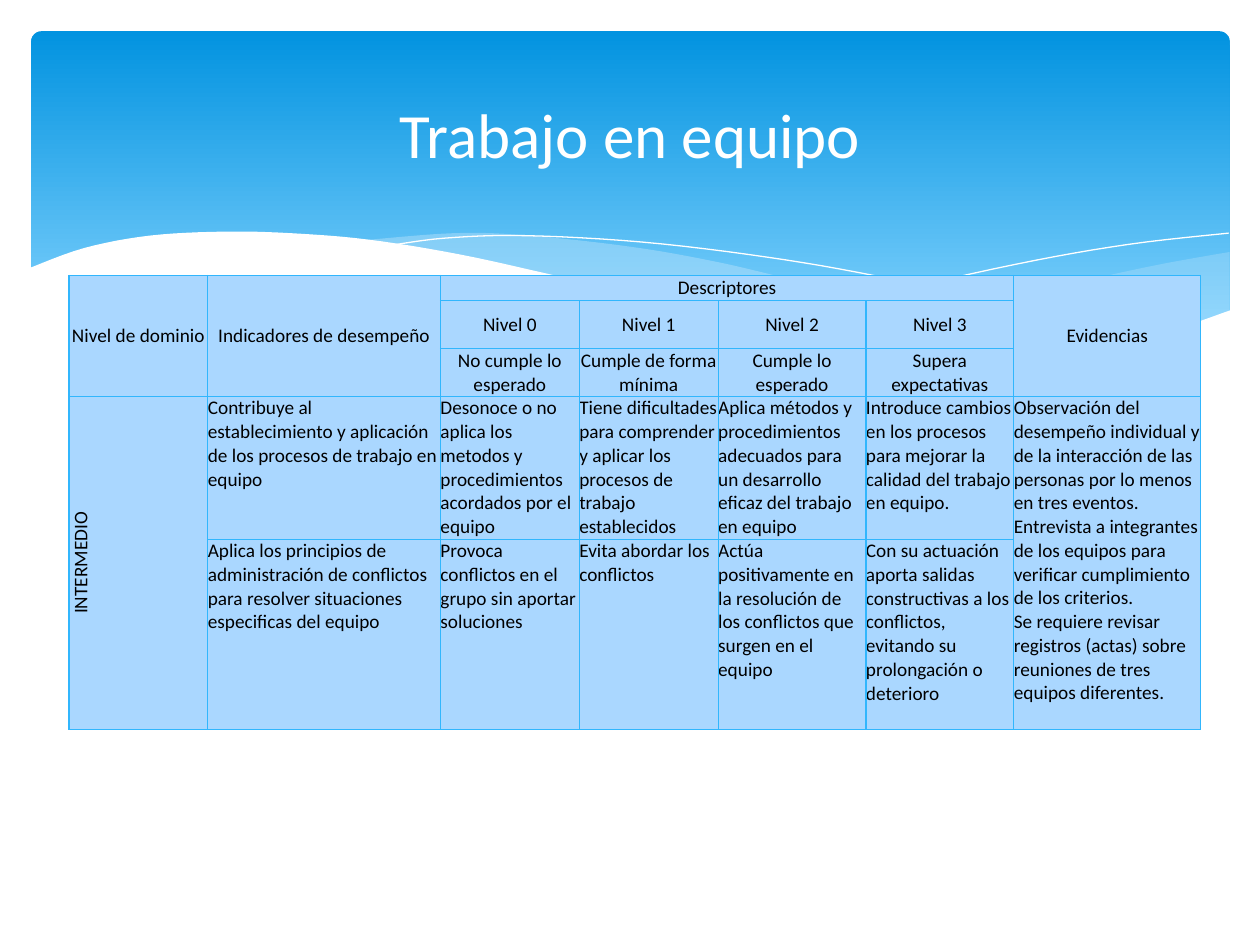
import dataclasses

import lxml.etree
import pptx
import pptx.dml.color
import pptx.enum.shapes
import pptx.enum.text
import pptx.oxml.ns
import pptx.util
from pptx.util import Cm

RGB = pptx.dml.color.RGBColor.from_string
ALIGN = pptx.enum.text.PP_ALIGN
ANCHOR = pptx.enum.text.MSO_ANCHOR
qn = pptx.oxml.ns.qn


@dataclasses.dataclass(frozen=True)
class Theme:
    font: str = "Calibri"
    title_size: int = 36
    table_size: int = 11
    white: str = "FFFFFF"
    black: str = "000000"
    sky_top: str = "0293E0"
    sky_bottom: str = "83D3FE"
    wave: str = "C6E7FC"
    cell: str = "AAD7FF"
    border: str = "31B6FD"


theme = Theme()


def smooth(points, steps=6):
    """Sample a Catmull-Rom curve that passes through every point."""
    padded = [points[0], *points, points[-1]]
    curve = []
    for a, b, c, d in zip(padded, padded[1:], padded[2:], padded[3:]):
        for step in range(steps):
            t = step / steps
            curve.append(tuple(
                b[i] + 0.5 * t * (c[i] - a[i]
                + t * (2 * a[i] - 5 * b[i] + 4 * c[i] - d[i]
                + t * (3 * (b[i] - c[i]) + d[i] - a[i])))
                for i in (0, 1)))
    return curve + [points[-1]]


def add_outline(shapes, points, closed):
    points = [(Cm(x), Cm(y)) for x, y in points]
    builder = shapes.build_freeform(*points[0])
    builder.add_line_segments(points[1:], close=closed)
    shape = builder.convert_to_shape()
    shape.shadow.inherit = False
    return shape


presentation = pptx.Presentation()
presentation.slide_width = Cm(25.4)
presentation.slide_height = Cm(19.05)
slide = presentation.slides.add_slide(presentation.slide_layouts[6])
shapes = slide.shapes

# Header panel
header = shapes.add_shape(pptx.enum.shapes.MSO_SHAPE.ROUNDED_RECTANGLE,
                          Cm(0.63), Cm(0.63), Cm(24.16), Cm(6.86))
header.adjustments[0] = 0.03
header.shadow.inherit = False
header.line.fill.background()
header.fill.gradient()
header.fill.gradient_angle = 270
for stop, position, color in zip(header.fill.gradient_stops, (0, 0.9),
                                 (theme.sky_top, theme.sky_bottom)):
    stop.position = position
    stop.color.rgb = RGB(color)

# Waves, with points in centimetres
right_wave = smooth([(24.79, 5.08), (23.39, 5.33), (21.87, 5.66), (19.13, 6.3),
                     (16.79, 6.73)])
right_wave += smooth([(16.79, 6.73), (18.92, 6.99), (20.68, 7.06), (22.15, 6.96),
                      (23.57, 6.68), (24.79, 6.27)])
middle_wave = smooth([(22.68, 6.93), (20.5, 6.6), (17.93, 6.1), (15.98, 5.64),
                      (14.45, 5.28), (12.75, 4.98), (10.67, 4.75), (9.17, 4.7),
                      (7.26, 4.85)])
middle_wave += smooth([(7.26, 4.85), (9.19, 5.16), (11.4, 5.64), (14.38, 6.3),
                       (16.51, 6.71), (18.34, 6.96), (19.94, 7.06), (21.29, 7.06),
                       (22.68, 6.93)])
long_crest = smooth([(7.85, 4.95), (8.97, 4.8), (10.57, 4.75), (12.95, 4.88),
                     (15.44, 5.18), (17.65, 5.56), (20.19, 6.12), (23.04, 6.91)])
right_crest = smooth([(15.57, 6.53), (17.65, 5.97), (20.47, 5.33), (22.73, 4.93),
                      (24.77, 4.7)])
front_wave = smooth([(24.82, 6.25), (23.37, 6.73), (21.92, 6.96), (20.55, 7.04),
                     (18.9, 6.96), (16.97, 6.73), (14.71, 6.35), (11.35, 5.59),
                     (9.27, 5.13), (7.42, 4.83), (5.84, 4.7), (4.5, 4.67),
                     (3.02, 4.75), (1.7, 5), (0.58, 5.41)])
front_wave += [(0.58, 8.36), (24.82, 8.36)]

for points, opacity in ((right_wave, 29), (middle_wave, 40)):
    wave = add_outline(shapes, points, True)
    wave.line.fill.background()
    wave.fill.solid()
    wave.fill.fore_color.rgb = RGB(theme.wave)
    color = wave.fill._xPr.find(".//" + qn("a:srgbClr"))
    lxml.etree.SubElement(color, qn("a:alpha"), val=str(opacity * 1000))

for points in (long_crest, right_crest):
    crest = add_outline(shapes, points, False)
    crest.fill.background()
    crest.line.color.rgb = RGB(theme.white)
    crest.line.width = pptx.util.Pt(0)

front = add_outline(shapes, front_wave, True)
front.line.fill.background()
front.fill.solid()
front.fill.fore_color.rgb = RGB(theme.white)

# Rubric table; None marks a cell covered by a merge
rows = [
    ["Nivel de dominio", "Indicadores de desempeño", "Descriptores",
     None, None, None, "Evidencias"],
    [None, None, "Nivel 0", "Nivel 1", "Nivel 2", "Nivel 3", None],
    [None, None, "No cumple lo esperado", "Cumple de forma mínima",
     "Cumple lo esperado", "Supera expectativas", None],
    ["INTERMEDIO",
     "Contribuye al establecimiento y aplicación de los procesos de trabajo en equipo",
     "Desonoce o no aplica los metodos y procedimientos acordados por el equipo",
     "Tiene dificultades para comprender y aplicar los procesos de trabajo establecidos",
     "Aplica métodos y procedimientos adecuados para un desarrollo eficaz del trabajo en equipo",
     "Introduce cambios en los procesos para mejorar la calidad del trabajo en equipo.",
     "Observación del desempeño individual y de la interacción de las personas "
     "por lo menos en tres eventos.\v"
     "Entrevista a integrantes de los equipos para verificar cumplimiento de los criterios.\v"
     "Se requiere revisar registros (actas) sobre reuniones de tres equipos diferentes."],
    [None,
     "Aplica los principios de administración de conflictos para resolver "
     "situaciones especificas del equipo",
     "Provoca conflictos en el grupo sin aportar soluciones",
     "Evita abordar los conflictos",
     "Actúa positivamente en la resolución de los conflictos que surgen en el equipo",
     "Con su actuación aporta salidas constructivas a los conflictos, evitando su "
     "prolongación o deterioro",
     None],
]
column_widths = [2.8, 4.69, 2.8, 2.8, 2.98, 2.98, 3.77]
row_heights = [0.51, 0.97, 0.95, 2.88, 3.83]
header_rows = 3
merges = [((0, 0), (2, 0)), ((0, 1), (2, 1)), ((0, 2), (0, 5)),
          ((0, 6), (2, 6)), ((3, 0), (4, 0)), ((3, 6), (4, 6))]

table = shapes.add_table(len(rows), len(column_widths), Cm(1.39), Cm(5.55),
                         Cm(sum(column_widths)), Cm(sum(row_heights))).table
table.first_row = False
table.horz_banding = False
for column, width in zip(table.columns, column_widths):
    column.width = Cm(width)
for row, height in zip(table.rows, row_heights):
    row.height = Cm(height)
for first, last in merges:
    table.cell(*first).merge(table.cell(*last))

for row_index, texts in enumerate(rows):
    for column_index, text in enumerate(texts):
        cell = table.cell(row_index, column_index)
        cell.margin_left = cell.margin_right = cell.margin_top = cell.margin_bottom = 0
        properties = cell._tc.get_or_add_tcPr()
        for side in ("a:lnL", "a:lnR", "a:lnT", "a:lnB"):
            line = lxml.etree.SubElement(properties, qn(side), w=str(pptx.util.Pt(0.75)))
            fill = lxml.etree.SubElement(line, qn("a:solidFill"))
            lxml.etree.SubElement(fill, qn("a:srgbClr"), val=theme.border)
        cell.fill.solid()
        cell.fill.fore_color.rgb = RGB(theme.cell)
        centered = row_index < header_rows
        paragraph = cell.text_frame.paragraphs[0]
        paragraph.font.size = pptx.util.Pt(theme.table_size)
        paragraph.font.name = theme.font
        paragraph.font.color.rgb = RGB(theme.black)
        if text is None:
            continue
        paragraph.text = text
        rotated = text == "INTERMEDIO"
        paragraph.alignment = ALIGN.CENTER if centered or rotated else ALIGN.LEFT
        cell.vertical_anchor = ANCHOR.MIDDLE if centered or rotated else ANCHOR.TOP
        if rotated:
            properties.set("vert", "vert270")
            # Rotated text sits beside the left border
            cell.vertical_anchor = ANCHOR.TOP

# Title
title = shapes.add_textbox(Cm(1.27), Cm(0.94), Cm(22.86), Cm(3.48))
title.text_frame.word_wrap = True
title.text_frame.vertical_anchor = ANCHOR.MIDDLE
paragraph = title.text_frame.paragraphs[0]
paragraph.text = "Trabajo en equipo"
paragraph.alignment = ALIGN.CENTER
paragraph.font.size = pptx.util.Pt(theme.title_size)
paragraph.font.name = theme.font
paragraph.font.color.rgb = RGB(theme.white)

presentation.save("out.pptx")
